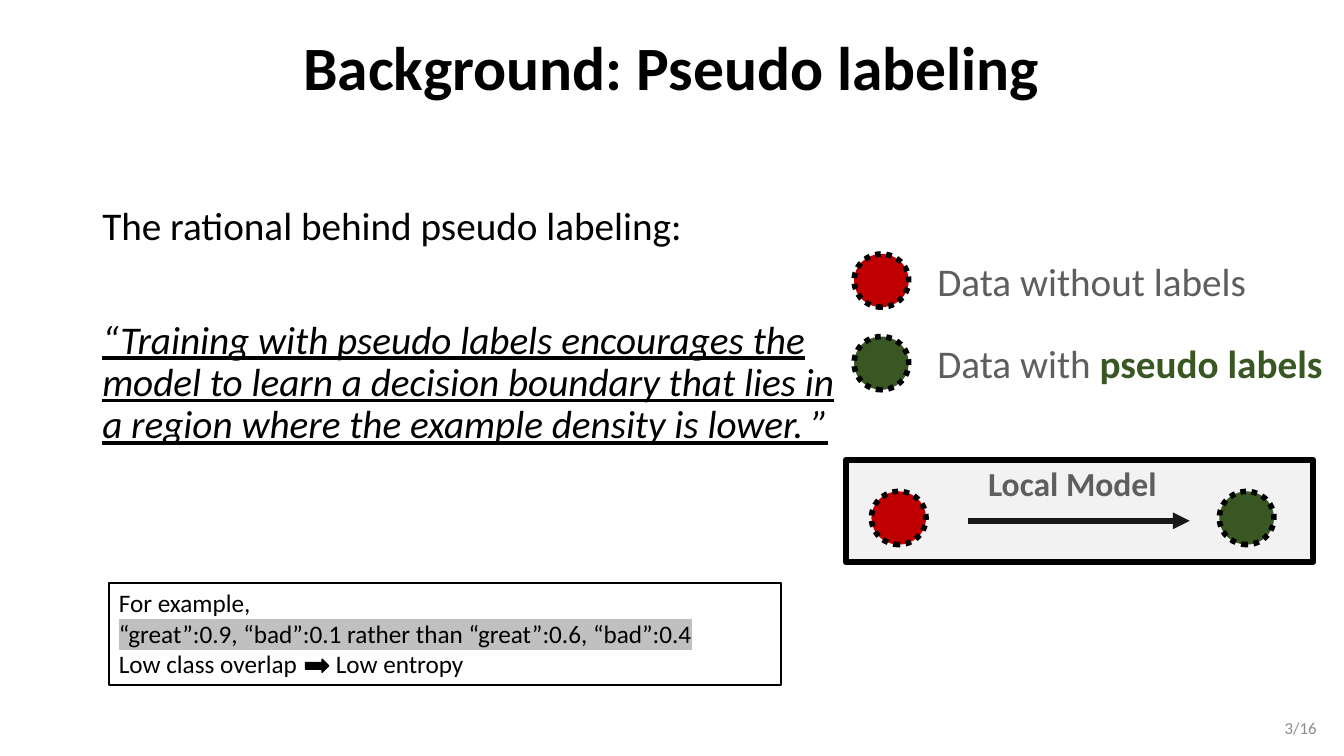
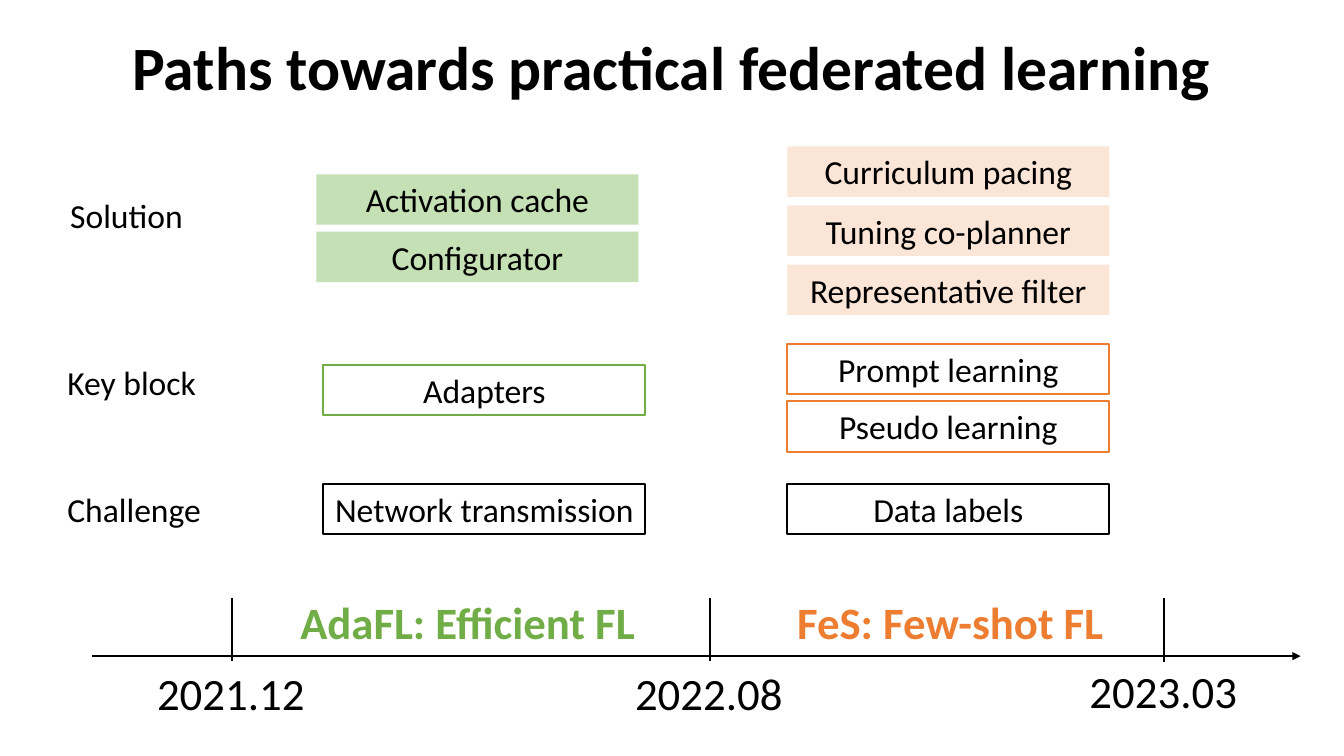
from lxml import etree
from pptx import Presentation
from pptx.dml.color import RGBColor
from pptx.enum import dml, shapes, text
from pptx.oxml import ns
from pptx.util import Pt

FONT = "Calibri"
BLACK = RGBColor(0x00, 0x00, 0x00)
INK = RGBColor(0x18, 0x18, 0x18)
GRAY = RGBColor(0x5E, 0x5E, 0x5E)
PAGE_GRAY = RGBColor(0x8C, 0x8C, 0x8C)
PANEL = RGBColor(0xF2, 0xF2, 0xF2)
RED = RGBColor(0xC0, 0x00, 0x00)
DARK_GREEN = RGBColor(0x38, 0x57, 0x23)
GREEN = RGBColor(0x70, 0xAD, 0x47)
LIGHT_GREEN = RGBColor(0xC5, 0xE0, 0xB4)
ORANGE = RGBColor(0xED, 0x7D, 0x31)
LIGHT_ORANGE = RGBColor(0xFB, 0xE5, 0xD6)
LEFT, CENTER = text.PP_ALIGN.LEFT, text.PP_ALIGN.CENTER
TOP, MIDDLE = text.MSO_ANCHOR.TOP, text.MSO_ANCHOR.MIDDLE
TILE_WIDTH, TILE_HEIGHT = 230, 36


def style_run(run, size, color=BLACK, bold=False):
    font = run.font
    font.name, font.size, font.bold = FONT, Pt(size), bold
    font.color.rgb = color


def write(shape, lines, size, color=BLACK, bold=False, align=LEFT,
          anchor=TOP, wrap=True, margin=None):
    frame = shape.text_frame
    frame.text = "\n".join(lines)
    frame.word_wrap, frame.vertical_anchor = wrap, anchor
    if margin is not None:
        frame.margin_left = frame.margin_right = Pt(margin)
        frame.margin_top = frame.margin_bottom = Pt(margin)
    for paragraph in frame.paragraphs:
        paragraph.alignment = align
        for run in paragraph.runs:
            style_run(run, size, color, bold)
    return frame.paragraphs


def add_text(slide, box, lines, size, **style):
    return write(slide.shapes.add_textbox(*map(Pt, box)), lines, size, **style)


def add_block(slide, kind, box, fill=None, line=None, weight=1.5):
    shape = slide.shapes.add_shape(kind, *map(Pt, box))
    shape.shadow.inherit = False
    for target, color in ((shape.fill, fill), (shape.line.fill, line)):
        if color is None:
            target.background()
        else:
            target.solid()
            target.fore_color.rgb = color
    if line is not None:
        shape.line.width = Pt(weight)
    return shape


def add_line(slide, start, end, color=BLACK, weight=1.5, arrow=False):
    connector = slide.shapes.add_connector(
        shapes.MSO_CONNECTOR.STRAIGHT, *map(Pt, start + end))
    connector.line.color.rgb = color
    connector.line.width = Pt(weight)
    if arrow:
        tail = etree.SubElement(connector.line._get_or_add_ln(), ns.qn("a:tailEnd"))
        tail.set("type", "triangle")
    etree.SubElement(connector._element.spPr, ns.qn("a:effectLst"))


def add_slide(presentation, title):
    slide = presentation.slides.add_slide(presentation.slide_layouts[6])
    paragraphs = add_text(slide, (66, 20, 828, 60), [title], 44,
                          bold=True, align=CENTER, anchor=MIDDLE)
    paragraphs[0].line_spacing = 0.9
    return slide


def add_dot(slide, center_x, center_y, color):
    width, height = 38, 39
    dot = add_block(slide, shapes.MSO_SHAPE.OVAL,
                    (center_x - width / 2, center_y - height / 2, width, height),
                    color, BLACK, 4)
    dot.rotation = 270
    dot.line.dash_style = dml.MSO_LINE.ROUND_DOT


def add_rationale(slide, box):
    paragraphs = add_text(slide, box, [
        "The rational behind pseudo labeling:",
        "“Training with pseudo labels encourages the model to learn a decision "
        "boundary that lies in a region where the example density is lower. ”"], 28)
    for paragraph in paragraphs:
        paragraph.line_spacing = 0.9
    quote = paragraphs[1]
    quote.space_before = Pt(51)
    quote.runs[0].font.italic = quote.runs[0].font.underline = True


def add_legend(slide, left, top):
    row_gap, text_height = 59, 38
    rows = [(RED, "Data without labels", ""),
            (DARK_GREEN, "Data with ", "pseudo labels")]
    for index, (color, label, emphasis) in enumerate(rows):
        row_top = top + index * row_gap
        add_dot(slide, left + 19, row_top + 19, color)
        paragraph = add_text(slide, (left + 57, row_top, 293, text_height), [label], 28,
                             color=GRAY, anchor=MIDDLE, margin=2)[0]
        if emphasis:
            run = paragraph.add_run()
            run.text = emphasis
            style_run(run, 28, color, True)


def add_local_model(slide, left, top):
    width, height = 334, 73
    add_block(slide, shapes.MSO_SHAPE.RECTANGLE, (left, top, width, height),
              PANEL, BLACK, 4.25)
    add_text(slide, (left + 99, top, 126, 33), ["Local Model"], 24, color=GRAY,
             bold=True, align=CENTER, anchor=MIDDLE, wrap=False, margin=2)
    add_line(slide, (left + 87.4, top + 43.5), (left + 245.8, top + 43.5), INK, 4, True)
    add_dot(slide, left + 38, top + 41.5, RED)
    add_dot(slide, left + 286.5, top + 41.5, DARK_GREEN)


def add_example(slide, left, top):
    box = add_block(slide, shapes.MSO_SHAPE.RECTANGLE, (left, top, 480, 73), line=BLACK)
    paragraphs = write(box, [
        "For example,",
        "“great”:0.9, “bad”:0.1 rather than “great”:0.6, “bad”:0.4",
        "Low class overlap\tLow entropy"], 18)
    fill = paragraphs[1].runs[0].font._element.find(ns.qn("a:solidFill"))
    highlight = etree.Element(ns.qn("a:highlight"))
    etree.SubElement(highlight, ns.qn("a:srgbClr")).set("val", "C0C0C0")
    fill.addnext(highlight)
    tabs = etree.SubElement(paragraphs[2]._p.get_or_add_pPr(), ns.qn("a:tabLst"))
    tab = etree.SubElement(tabs, ns.qn("a:tab"))
    tab.set("pos", str(Pt(155)))
    tab.set("algn", "l")
    add_block(slide, shapes.MSO_SHAPE.RIGHT_ARROW,
              (left + 140.4, top + 54.7, 16.6, 9.4), BLACK, BLACK, 1)


def add_tiles(slide, left, top, labels, pitch=41, fill=None, line=None):
    for index, label in enumerate(labels):
        tile = add_block(slide, shapes.MSO_SHAPE.RECTANGLE,
                         (left, top + index * pitch, TILE_WIDTH, TILE_HEIGHT), fill, line)
        write(tile, [label], 24, align=CENTER, wrap=False)


def add_timeline(slide, left, top, width):
    axis = top + 41.7
    add_line(slide, (left, axis), (left + width, axis), arrow=True)
    marks = [("2021.12", 99.6, 0), ("2022.08", 441, 0), ("2023.03", 765.6, -2)]
    for date, offset, shift in marks:
        tick = left + offset
        add_line(slide, (tick, top), (tick, axis + 3.5 - shift / 2))
        add_text(slide, (tick - 60.5, axis + 3.6 + shift, 121, 46), [date], 32, wrap=False)
    periods = [("AdaFL: Efficient FL", 141.4, 257, GREEN),
               ("FeS: Few-shot FL", 496.3, 235.5, ORANGE)]
    for label, offset, label_width, color in periods:
        add_text(slide, (left + offset, top - 5.8, label_width, 46), [label], 32,
                 color=color, bold=True, wrap=False)


def build_pseudo_labeling(presentation):
    slide = add_slide(presentation, "Background: Pseudo labeling")
    add_rationale(slide, (66, 144, 537, 222))
    add_legend(slide, 610.6, 181.4)
    add_local_model(slide, 604, 328.5)
    add_example(slide, 77.8, 416.2)
    add_text(slide, (905, 505.4, 48, 29), ["3/16"], 12, color=PAGE_GRAY,
             align=CENTER, anchor=MIDDLE)


def build_paths(presentation):
    slide = add_slide(presentation, "Paths towards practical federated learning")
    for label, left, top, width in [("Solution", 43, 136, 96), ("Key block", 41, 255, 107),
                                    ("Challenge", 41, 346, 111)]:
        add_text(slide, (left, top, width, TILE_HEIGHT), [label], 24, wrap=False)
    add_tiles(slide, 226, 124.5, ["Activation cache", "Configurator"], fill=LIGHT_GREEN)
    add_tiles(slide, 231, 260.6, ["Adapters"], line=GREEN)
    add_tiles(slide, 231, 345.6, ["Network transmission"], line=BLACK)
    add_tiles(slide, 562.4, 104.6,
              ["Curriculum pacing", "Tuning co-planner", "Representative filter"],
              pitch=42.2, fill=LIGHT_ORANGE)
    add_tiles(slide, 562.4, 245.6, ["Prompt learning", "Pseudo learning"], line=ORANGE)
    add_tiles(slide, 562.4, 345.6, ["Data labels"], line=BLACK)
    add_timeline(slide, 66, 427, 863)


def main():
    presentation = Presentation()
    presentation.slide_width, presentation.slide_height = Pt(960), Pt(540)
    build_pseudo_labeling(presentation)
    build_paths(presentation)
    presentation.save("out.pptx")


if __name__ == "__main__":
    main()
